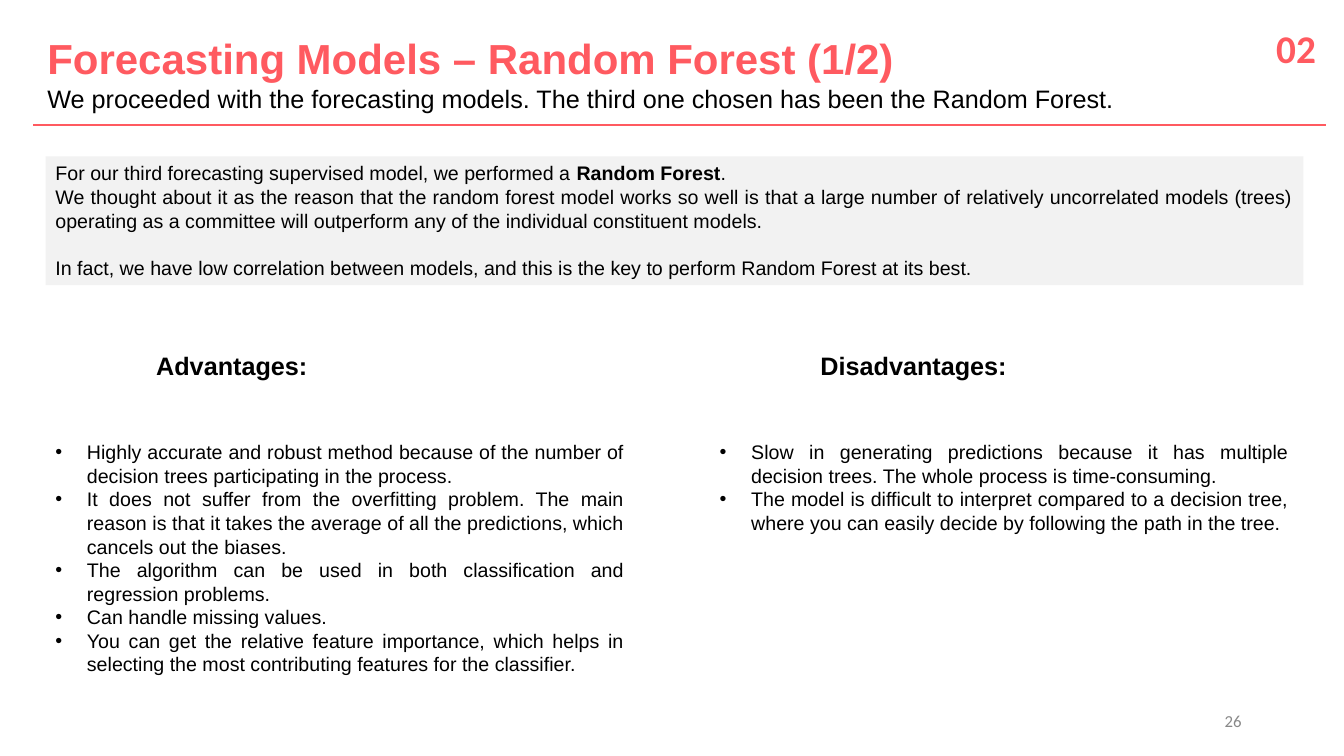
from dataclasses import dataclass

from lxml import etree
from pptx import Presentation
from pptx.dml.color import RGBColor
from pptx.enum.shapes import MSO_CONNECTOR as Connector, MSO_SHAPE as Shape
from pptx.enum.text import MSO_ANCHOR as Anchor, PP_ALIGN as Align
from pptx.oxml.ns import qn
from pptx.util import Pt


@dataclass(frozen=True)
class Theme:
    coral: RGBColor = RGBColor(0xFF, 0x5A, 0x60)
    black: RGBColor = RGBColor(0, 0, 0)
    grey: RGBColor = RGBColor(0x88, 0x88, 0x88)
    panel: RGBColor = RGBColor(0xF2, 0xF2, 0xF2)
    main_font: str = "Arial"
    number_font: str = "Calibri"
    title: int = 30
    section: int = 28
    heading: int = 18
    body: int = 14
    footer: int = 12


THEME = Theme()
BODY = {"name": THEME.main_font, "size": Pt(THEME.body), "color": THEME.black, "bold": False}
STRONG = BODY | {"bold": True}
HEADING = STRONG | {"size": Pt(THEME.heading)}
SUBTITLE = HEADING | {"bold": False}
TITLE = STRONG | {"size": Pt(THEME.title), "color": THEME.coral}
SECTION = TITLE | {"name": THEME.number_font, "size": Pt(THEME.section)}
PAGE = BODY | {"name": THEME.number_font, "size": Pt(THEME.footer), "color": THEME.grey}

INTRO = [
    [("For our third forecasting supervised model, we performed a ", BODY),
     ("Random Forest", STRONG), (".", BODY)],
    [("We thought about it as the reason that the random forest model works so well is "
      "that a large number of relatively uncorrelated models (trees) operating as a "
      "committee will outperform any of the individual constituent models.", BODY)],
    [("In fact, we have low correlation between models, and this is the key to perform "
      "Random Forest at its best.", BODY)],
]
ADVANTAGES = [
    "Highly accurate and robust method because of the number of decision trees "
    "participating in the process.",
    "It does not suffer from the overfitting problem. The main reason is that it takes "
    "the average of all the predictions, which cancels out the biases.",
    "The algorithm can be used in both classification and regression problems.",
    "Can handle missing values.",
    "You can get the relative feature importance, which helps in selecting the most "
    "contributing features for the classifier.",
]
DISADVANTAGES = [
    "Slow in generating predictions because it has multiple decision trees. The whole "
    "process is time-consuming.",
    "The model is difficult to interpret compared to a decision tree, where you can "
    "easily decide by following the path in the tree.",
]


def style(font, formats):
    for attribute, value in formats.items():
        if attribute == "color":
            font.color.rgb = value
        else:
            setattr(font, attribute, value)


def add_bullet(paragraph, indent=22.5):
    properties = paragraph._p.get_or_add_pPr()
    properties.set("marL", str(Pt(indent)))
    properties.set("indent", str(-Pt(indent)))
    etree.SubElement(properties, qn("a:buFont"), typeface=THEME.main_font)
    etree.SubElement(properties, qn("a:buChar"), char="•")


def write(frame, paragraphs, align=Align.LEFT, anchor=Anchor.TOP, bullets=False):
    """Fill a frame with paragraphs, each a list of (text, format) runs."""
    frame.word_wrap = True
    frame.vertical_anchor = anchor
    for index, runs in enumerate(paragraphs):
        paragraph = frame.add_paragraph() if index else frame.paragraphs[0]
        paragraph.alignment = align
        if bullets:
            add_bullet(paragraph)
        for text, formats in runs:
            run = paragraph.add_run()
            run.text = text
            style(run.font, formats)


def add_text(slide, box, paragraphs, **layout):
    write(slide.shapes.add_textbox(*map(Pt, box)).text_frame, paragraphs, **layout)


def add_header(slide, left, top, width):
    # Title with its subtitle, and the section number
    add_text(slide, (left + 3, top + 13.5, 911, 50), [
        [("Forecasting Models – Random Forest (1/2)", TITLE)],
        [("We proceeded with the forecasting models. The third one chosen has been "
          "the Random Forest.", SUBTITLE)],
    ], anchor=Anchor.MIDDLE)
    add_text(slide, (left + width - 43, top, 43, 41), [[("02", SECTION)]])

    # Rule under the header
    rule_y = Pt(top + 75.5)
    rule = slide.shapes.add_connector(
        Connector.STRAIGHT, Pt(left), rule_y, Pt(left + width), rule_y)
    rule.line.color.rgb = THEME.coral
    rule.line.width = Pt(1.5)
    etree.SubElement(rule._element.spPr, qn("a:effectLst"))


def add_intro(slide, left, top, width, height):
    panel = slide.shapes.add_shape(Shape.RECTANGLE, *map(Pt, (left, top, width, height)))
    panel.shadow.inherit = False
    panel.fill.solid()
    panel.fill.fore_color.rgb = THEME.panel
    panel.line.fill.background()
    write(panel.text_frame, INTRO, align=Align.JUSTIFY)
    # One line of air before the conclusion
    panel.text_frame.paragraphs[-1].space_before = Pt(17)


def add_column(slide, left, top, width, height, heading, points):
    add_text(slide, (left + 72, top, 150, 29), [[(heading, HEADING)]])
    add_text(slide, (left, top + 64, width, height - 64),
             [[(point, BODY)] for point in points], align=Align.JUSTIFY, bullets=True)


def add_page_number(slide, left, top, width, height):
    add_text(slide, (left, top, width, height), [[("26", PAGE)]],
             align=Align.RIGHT, anchor=Anchor.MIDDLE)


def main():
    deck = Presentation()
    deck.slide_width, deck.slide_height = Pt(960), Pt(540)
    slide = deck.slides.add_slide(deck.slide_layouts[6])

    add_header(slide, 23.75, 13.75, 923.75)
    add_intro(slide, 32.5, 111.75, 898.5, 92)
    columns = [("Advantages:", ADVANTAGES), ("Disadvantages:", DISADVANTAGES)]
    for index, (heading, points) in enumerate(columns):
        add_column(slide, 32.5 + index * 474.5, 247, 420.5, 241, heading, points)
    add_page_number(slide, 678, 500.5, 216, 29)

    deck.save("out.pptx")


if __name__ == "__main__":
    main()
